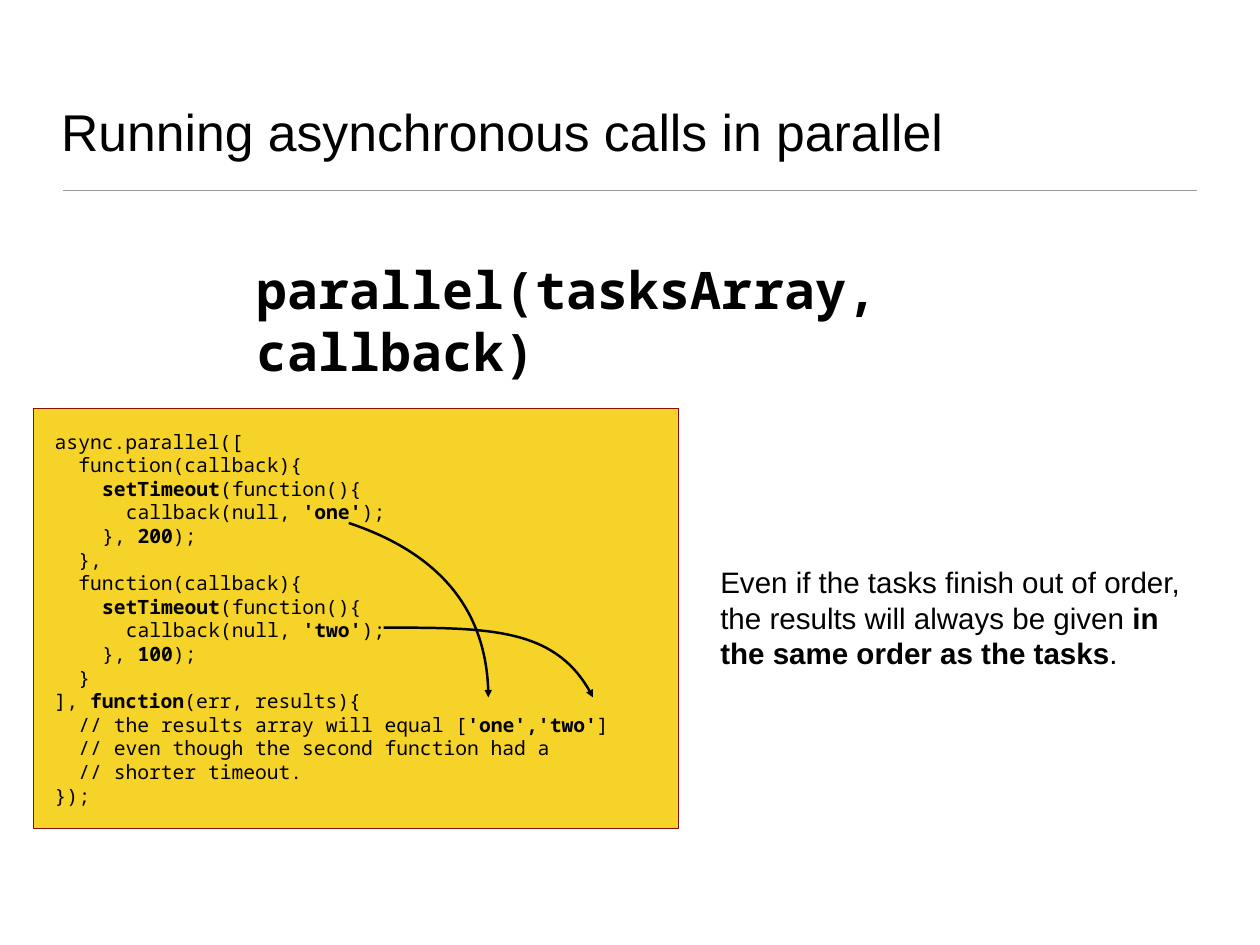
from dataclasses import dataclass
from typing import Any

from lxml.etree import SubElement
from pptx import Presentation
from pptx.dml.color import RGBColor
from pptx.enum.shapes import MSO_CONNECTOR as Link, MSO_SHAPE as Preset
from pptx.enum.text import MSO_ANCHOR as Anchor, MSO_AUTO_SIZE as Fit, PP_ALIGN as Align
from pptx.oxml.ns import qn
from pptx.util import Cm, Pt

BLACK = RGBColor(0x00, 0x00, 0x00)
GREY = RGBColor(0x9A, 0x9A, 0x9A)
YELLOW = RGBColor(0xF5, 0xD3, 0x28)
DARK_RED = RGBColor(0x85, 0x10, 0x01)
SANS, MONO = "Arial", "Noto Sans Mono"
TITLE_ONLY = 5
INDENT_STEP = 0.68

CODE = """async.parallel([
  function(callback){
    *setTimeout*(function(){
      callback(null, *'one'*);
    }, *200*);
  },
  function(callback){
    *setTimeout*(function(){
      callback(null, *'two'*);
    }, *100*);
  }
], *function*(err, results){
  // the results array will equal [*'one','two'*]
  // even though the second function had a
  // shorter timeout.
});"""


@dataclass(frozen=True)
class Passage:
    text: str
    box: tuple[float, float, float, float]
    font: str
    size: int
    inset: float = 0.15
    anchor: Anchor = Anchor.MIDDLE


@dataclass(frozen=True)
class Curve:
    start: tuple[float, float]
    bend_out: tuple[float, float]
    bend_in: tuple[float, float]
    end: tuple[float, float]


TITLE = Passage("Running asynchronous calls in parallel",
                (1.6, 0.91, 32.94, 3.89), SANS, 42, anchor=Anchor.BOTTOM)
LISTING = Passage(CODE, (0.97, 11.71, 18.49, 12.04), MONO, 16, inset=0.6)
SIGNATURE = Passage("*parallel(tasksArray, callback)*",
                    (7.21, 8.13, 21.72, 2.06), MONO, 42)
REMARK = Passage("Even if the tasks finish out of order, the results will always be given "
                 "*in the same order as the tasks*.",
                 (20.5, 15.54, 13.97, 4.34), SANS, 24)
RESULT_CURVES = (
    Curve((11.4, 17.96), (14.05, 17.73), (15.82, 18.47), (16.71, 20.14)),
    Curve((10.21, 15.14), (12.85, 16.41), (14.2, 18.14), (14.27, 20.35)),
)


def apply(target: Any, formats: dict[str, Any]) -> None:
    for attribute, value in formats.items():
        setattr(target, attribute, value)


def lengths(values: tuple[float, ...]) -> list[Cm]:
    return [Cm(value) for value in values]


def style_line(line: Any, color: RGBColor, width: float) -> None:
    line.color.rgb = color
    line.width = Pt(width)


def write(shape: Any, passage: Passage) -> None:
    apply(shape, dict(zip(("left", "top", "width", "height"), lengths(passage.box))))
    frame = shape.text_frame
    margins = ("margin_left", "margin_top", "margin_right", "margin_bottom")
    apply(frame, {"word_wrap": True, "auto_size": Fit.NONE,
                  "vertical_anchor": passage.anchor,
                  **dict.fromkeys(margins, Cm(passage.inset))})
    for number, row in enumerate(passage.text.split("\n")):
        paragraph = frame.add_paragraph() if number else frame.paragraphs[0]
        paragraph.alignment = Align.LEFT
        content = row.lstrip()
        depth = (len(row) - len(content)) // 2
        if depth:
            paragraph._p.get_or_add_pPr().set("marL", str(Cm(depth * INDENT_STEP)))
        for position, part in enumerate(content.split("*")):
            if part:
                run = paragraph.add_run()
                run.text = part
                apply(run.font, {"name": passage.font, "size": Pt(passage.size),
                                 "bold": position % 2 == 1})
                run.font.color.rgb = BLACK


def draw_rule(slide: Any) -> None:
    rule = slide.shapes.add_connector(Link.STRAIGHT, *lengths((1.8, 5.46, 34.32, 5.46)))
    style_line(rule.line, GREY, 1)
    SubElement(rule._element.spPr, qn("a:effectLst"))


def draw_listing(slide: Any) -> None:
    panel = slide.shapes.add_shape(Preset.RECTANGLE, *lengths(LISTING.box))
    panel.shadow.inherit = False
    panel.fill.solid()
    panel.fill.fore_color.rgb = YELLOW
    style_line(panel.line, DARK_RED, 1)
    write(panel, LISTING)


def draw_curve(slide: Any, curve: Curve) -> None:
    builder = slide.shapes.build_freeform(*curve.start, scale=Cm(1))
    builder.add_line_segments((curve.bend_out, curve.bend_in, curve.end), close=False)
    arrow = builder.convert_to_shape()
    arrow.shadow.inherit = False
    arrow.fill.background()
    style_line(arrow.line, BLACK, 2)
    outline = next(arrow._element.iter(qn("a:path")))
    bezier = SubElement(outline, qn("a:cubicBezTo"))
    for segment in outline.findall(qn("a:lnTo")):
        bezier.append(segment[0])
        outline.remove(segment)
    SubElement(arrow.line._get_or_add_ln(), qn("a:tailEnd"), type="triangle")


def main() -> None:
    deck = Presentation()
    apply(deck, {"slide_width": Cm(36.12), "slide_height": Cm(27.1)})
    slide = deck.slides.add_slide(deck.slide_layouts[TITLE_ONLY])
    draw_rule(slide)
    write(slide.shapes.title, TITLE)
    draw_listing(slide)
    for passage in (SIGNATURE, REMARK):
        write(slide.shapes.add_textbox(*lengths(passage.box)), passage)
    for curve in RESULT_CURVES:
        draw_curve(slide, curve)
    deck.save("out.pptx")


if __name__ == "__main__":
    main()
